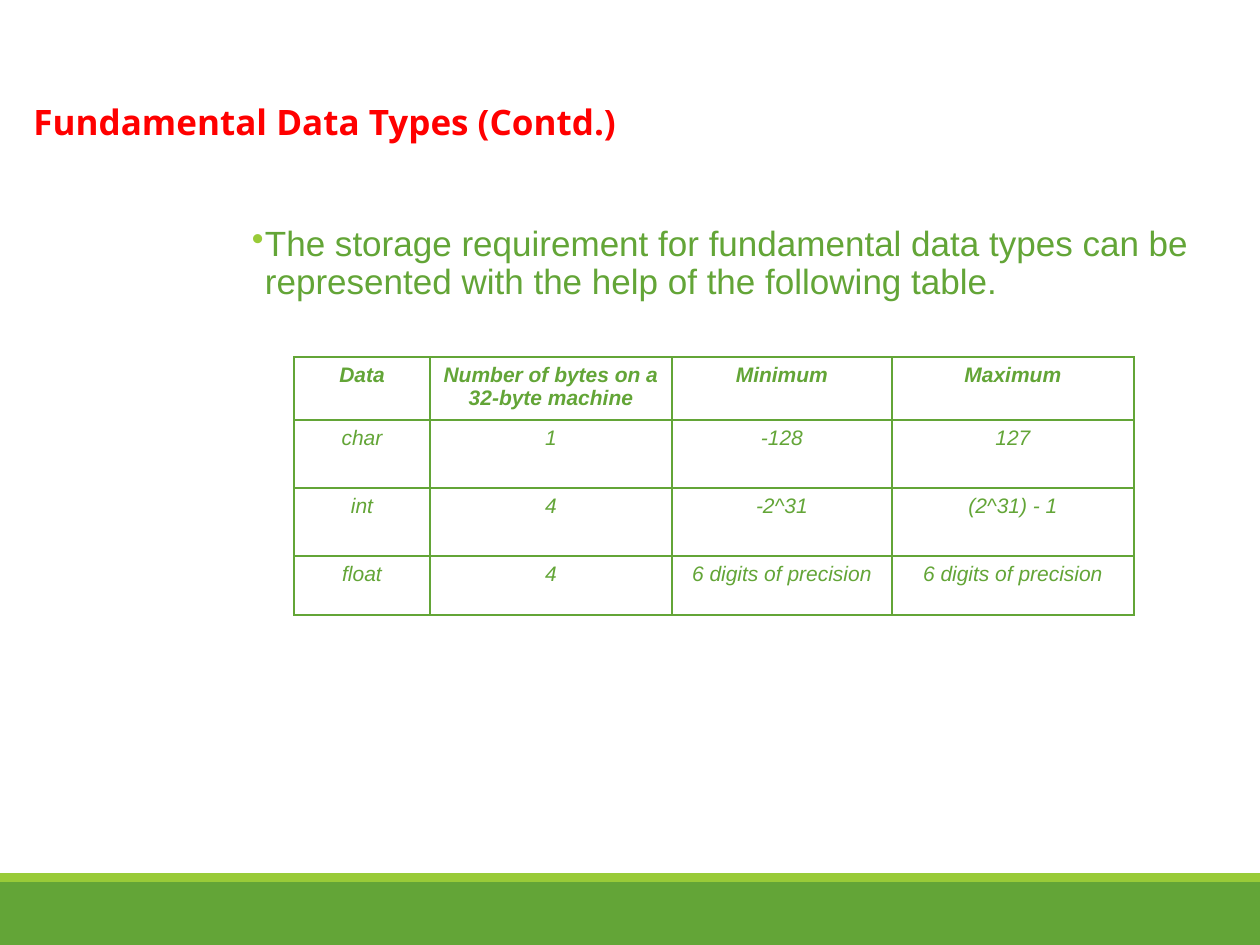
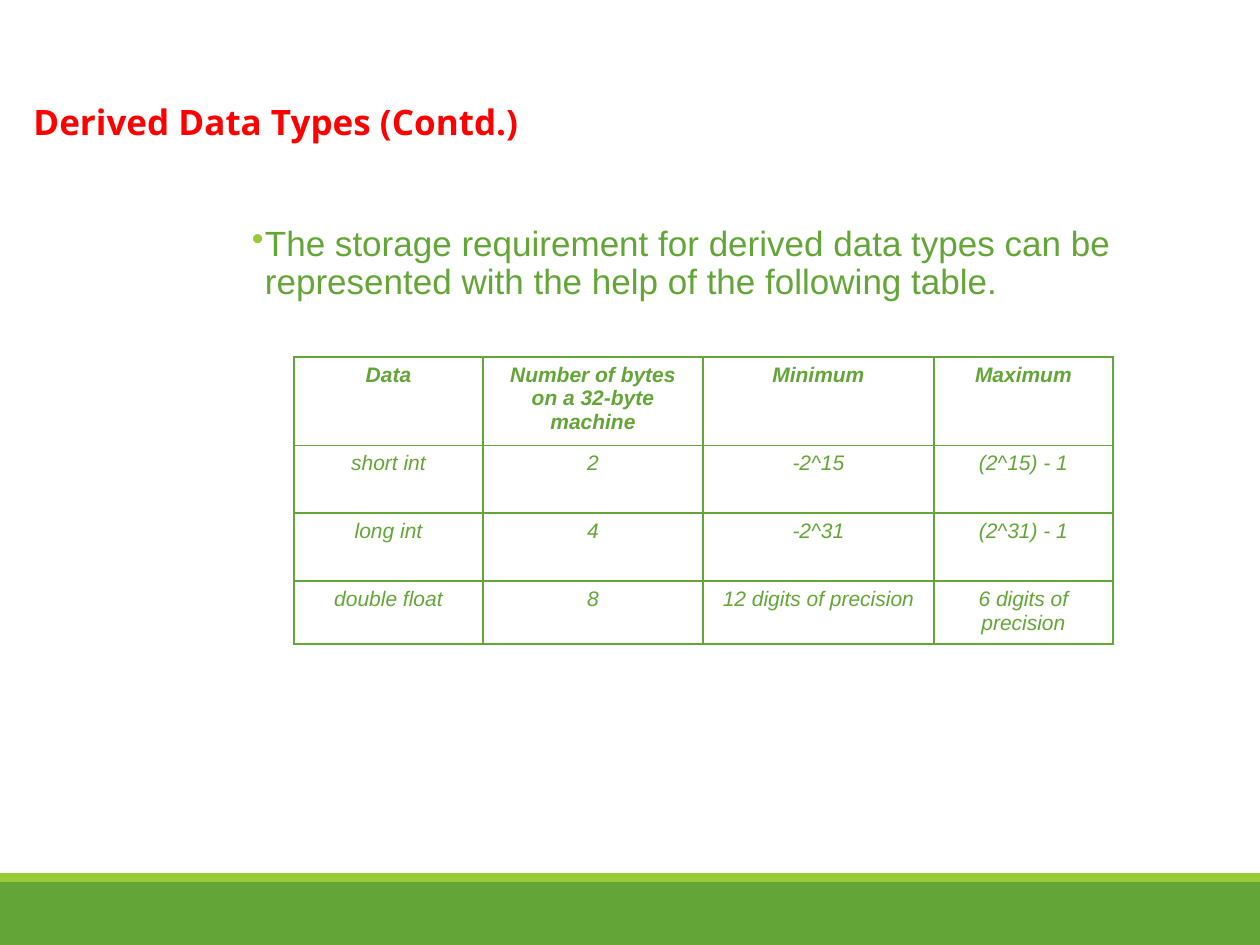
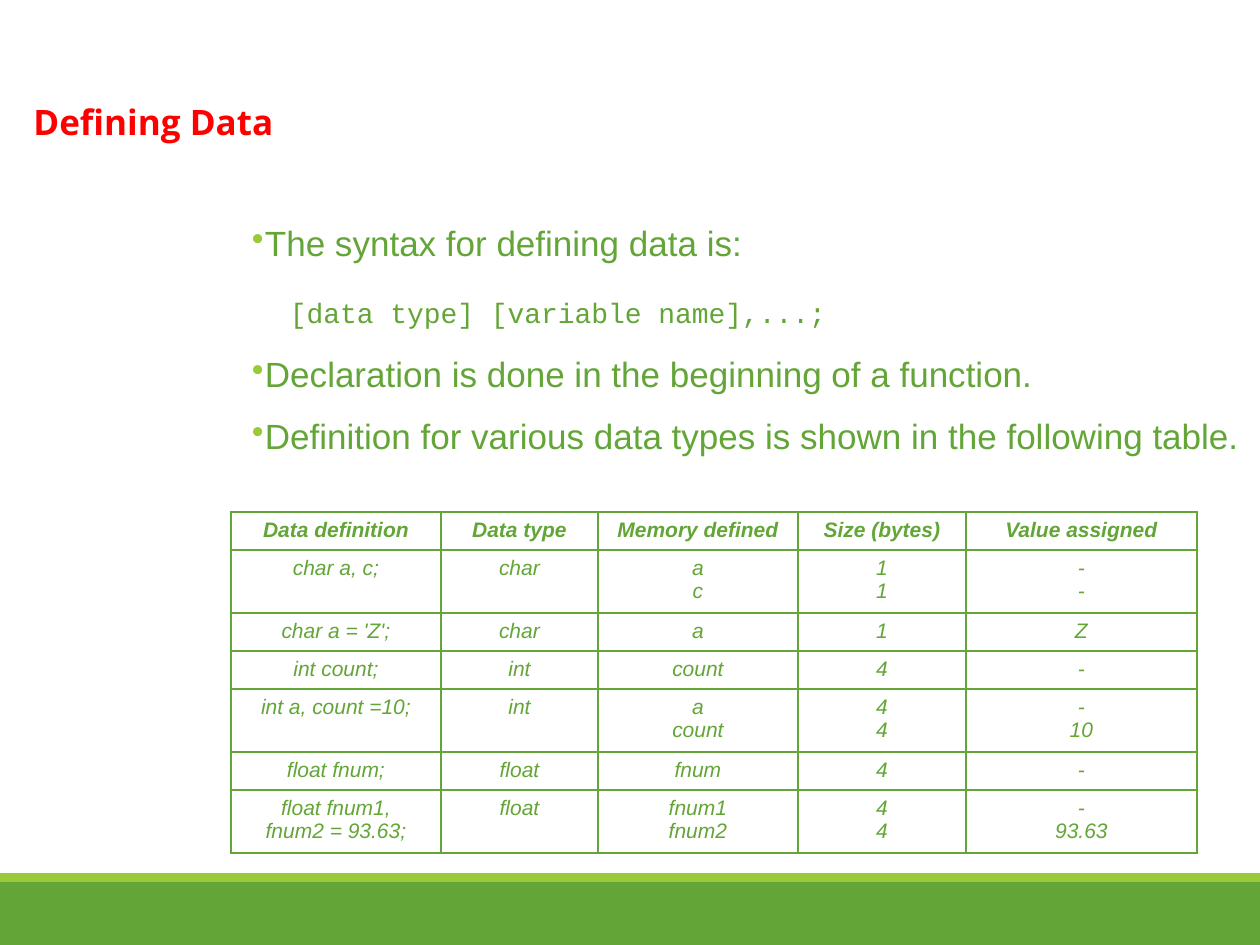
from lxml import etree
from pptx import Presentation
from pptx import util as u
from pptx.dml.color import RGBColor
from pptx.enum import shapes, text
from pptx.oxml.ns import qn

GREEN = "63A537"
LIME = "99CB38"
RED = "FF0000"


def px(length):
    return u.Emu(round(length * 914400 / 126))


def colour(code):
    return RGBColor.from_string(code)


def add_colour(parent, code):
    fill = etree.SubElement(parent, qn("a:solidFill"))
    etree.SubElement(fill, qn("a:srgbClr")).set("val", code)


class Deck:
    width, height = 1260, 945
    body_font = "Arial"
    code_font = "Courier New"
    title_font = "Open Sans"

    def __init__(self):
        self.prs = Presentation()
        self.prs.slide_width = px(self.width)
        self.prs.slide_height = px(self.height)
        self.slide = None

    def start(self, title, title_height=54):
        self.slide = self.prs.slides.add_slide(self.prs.slide_layouts[6])
        self.band(882, 63, GREEN)
        self.band(873, 9, LIME)
        frame = self.frame(21, 94, 1197, title_height)
        self.add_words(frame.paragraphs[0], title, 20, RED, self.title_font, bold=True)

    def band(self, top, height, fill):
        band = self.slide.shapes.add_shape(
            shapes.MSO_SHAPE.RECTANGLE, 0, px(top), px(self.width), px(height))
        band.shadow.inherit = False
        band.fill.solid()
        band.fill.fore_color.rgb = colour(fill)
        band.line.fill.background()

    def frame(self, left, top, width, height):
        frame = self.slide.shapes.add_textbox(
            px(left), px(top), px(width), px(height)).text_frame
        frame.word_wrap = True
        return frame

    def add_words(self, paragraph, words, size, ink=GREEN, font=body_font,
                  bold=False, italic=False):
        for i, line in enumerate(words.split("\n")):
            if i:
                paragraph.add_line_break()
            run = paragraph.add_run()
            run.text = line
            run.font.size = u.Pt(size)
            run.font.name = font
            run.font.bold = bold
            run.font.italic = italic
            run.font.color.rgb = colour(ink)

    def body(self, *points):
        frame = self.frame(252, 220, 1008, 630)
        frame.margin_left = frame.margin_right = 0
        for i, (kind, words) in enumerate(points):
            paragraph = frame.add_paragraph() if i else frame.paragraphs[0]
            paragraph.line_spacing = 0.9
            if kind == "code":
                self.code(paragraph, words)
            else:
                self.bullet(paragraph, words)

    def bullet(self, paragraph, words):
        paragraph.space_before, paragraph.space_after = u.Pt(12), u.Pt(2)
        props = paragraph._p.get_or_add_pPr()
        props.set("marL", str(px(13)))
        props.set("indent", str(px(-13)))
        mark = etree.SubElement(props, qn("a:buClr"))
        etree.SubElement(mark, qn("a:srgbClr")).set("val", LIME)
        etree.SubElement(props, qn("a:buChar")).set("char", "•")
        self.add_words(paragraph, words, 20)

    def code(self, paragraph, words):
        paragraph.space_before, paragraph.space_after = u.Pt(18), u.Pt(4)
        paragraph._p.get_or_add_pPr().set("marL", str(px(38)))
        self.add_words(paragraph, words, 16, font=self.code_font)

    def table(self, left, top, widths, heights, rows):
        table = self.slide.shapes.add_table(
            len(rows), len(widths), px(left), px(top),
            px(sum(widths)), px(sum(heights))).table
        table.first_row = table.horz_banding = False
        for column, width in zip(table.columns, widths):
            column.width = px(width)
        for r, (height, row) in enumerate(zip(heights, rows)):
            table.rows[r].height = px(height)
            for c, words in enumerate(row):
                cell = table.cell(r, c)
                cell.fill.background()
                self.border(cell)
                paragraph = cell.text_frame.paragraphs[0]
                paragraph.alignment = text.PP_ALIGN.CENTER
                self.add_words(paragraph, words, 12, bold=r == 0, italic=True)

    def border(self, cell):
        props = cell._tc.get_or_add_tcPr()
        for i, side in enumerate(("lnL", "lnR", "lnT", "lnB")):
            line = etree.Element(qn("a:" + side), w=str(u.Pt(1)))
            add_colour(line, GREEN)
            props.insert(i, line)


deck = Deck()
storage_heads = ("Data", "Number of bytes on a 32-byte machine", "Minimum", "Maximum")
storage_point = ("The storage requirement for {} data types can be represented "
                 "with the help of the following table.")

deck.start("Fundamental Data Types (Contd.)")
deck.body(("bullet", storage_point.format("fundamental")))
deck.table(294, 357, (136, 242, 220, 242), (63, 68, 68, 59), (
    storage_heads,
    ("char", "1", "-128", "127"),
    ("int", "4", "-2^31", "(2^31) - 1"),
    ("float", "4", "6 digits of precision", "6 digits of precision"),
))

deck.start("Derived Data Types (Contd.)")
deck.body(("bullet", storage_point.format("derived")))
deck.table(294, 357, (189, 220, 231, 179), (88, 68, 68, 63), (
    storage_heads,
    ("short int", "2", "-2^15", "(2^15) - 1"),
    ("long int", "4", "-2^31", "(2^31) - 1"),
    ("double float", "8", "12 digits of precision", "6 digits of precision"),
))

deck.start("Defining Data", 117)
deck.body(
    ("bullet", "The syntax for defining data is:"),
    ("code", "[data type] [variable name],...;"),
    ("bullet", "Declaration is done in the beginning of a function."),
    ("bullet", "Definition for various data types is shown in the following table."),
)
definitions = (
    ("Data definition", "Data type", "Memory defined", "Size (bytes)", "Value assigned"),
    ("char a, c;", "char", "a\nc", "1\n1", "-\n-"),
    ("char a = 'Z';", "char", "a", "1", "Z"),
    ("int count;", "int", "count", "4", "-"),
    ("int a, count =10;", "int", "a\ncount", "4\n4", "-\n10"),
    ("float fnum;", "float", "fnum", "4", "-"),
    ("float fnum1,\nfnum2 = 93.63;", "float", "fnum1\nfnum2", "4\n4", "-\n93.63"),
)
definition_heights = [63 if "\n" in row[2] else 38 for row in definitions]
deck.table(231, 512, (210, 157, 200, 168, 231), definition_heights, definitions)

deck.prs.save("out.pptx")
